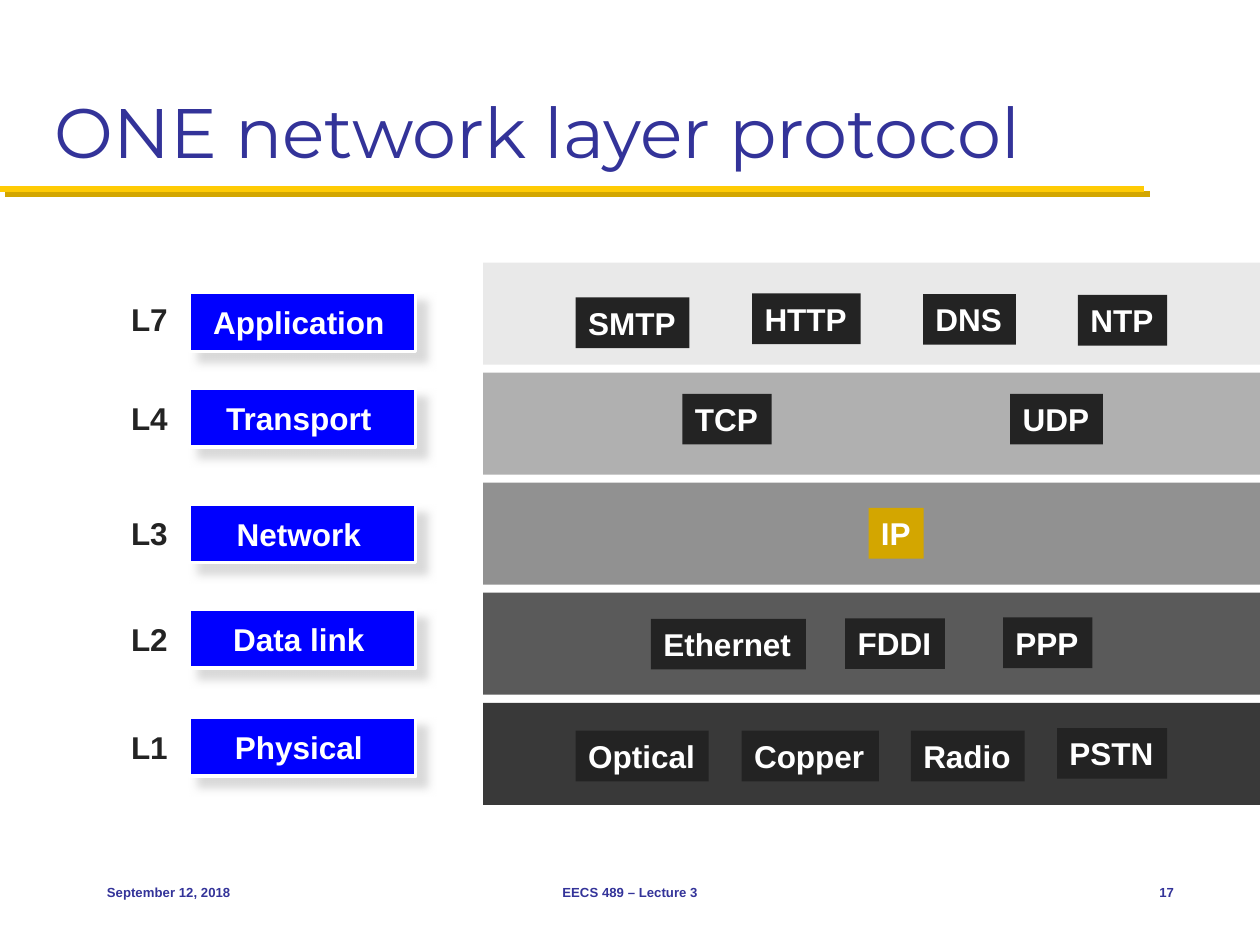
from dataclasses import dataclass

from lxml.etree import SubElement
from pptx import Presentation
from pptx.dml.color import RGBColor
from pptx.enum.shapes import MSO_CONNECTOR, MSO_SHAPE
from pptx.enum.text import MSO_ANCHOR, MSO_AUTO_SIZE, PP_ALIGN
from pptx.oxml.ns import qn
from pptx.util import Pt


@dataclass(frozen=True)
class Theme:
    heading_font: str = "Montserrat"
    body_font: str = "Arial"
    title_size: float = 40
    label_size: float = 18
    footer_size: float = 7.5
    navy: str = "333399"
    maize: str = "FFCB05"
    gold: str = "D3A600"
    blue: str = "0000FF"
    ink: str = "232323"
    white: str = "FFFFFF"
    shade: str = "CECECE"


def color(value):
    return RGBColor.from_string(value)


class SlideBuilder:
    def __init__(self, slide, theme):
        self.slide = slide
        self.theme = theme

    def cast_shadow(self, item, shade, opacity, blur, distance):
        """Give an item an outer shadow towards the lower right."""
        effects = SubElement(item._element.spPr, qn("a:effectLst"))
        shadow = SubElement(effects, qn("a:outerShdw"), blurRad=str(Pt(blur)),
                            dist=str(Pt(distance)), dir=str(45 * 60000),
                            algn="tl", rotWithShape="0")
        tint = SubElement(shadow, qn("a:srgbClr"), val=shade)
        SubElement(tint, qn("a:alpha"), val=str(opacity * 1000))

    def set_text(self, item, text, size, ink, font=None, bold=True,
                 align=PP_ALIGN.LEFT, anchor=MSO_ANCHOR.TOP, wrap=False):
        frame = item.text_frame
        frame.text = text
        frame.word_wrap = wrap
        frame.auto_size = MSO_AUTO_SIZE.NONE
        frame.vertical_anchor = anchor
        paragraph = frame.paragraphs[0]
        paragraph.alignment = align
        paragraph.font.name = font or self.theme.body_font
        paragraph.font.size = Pt(size)
        paragraph.font.bold = bold
        paragraph.font.color.rgb = color(ink)
        return frame

    def title(self, text, left, top, width, height):
        heading = self.slide.shapes.title
        heading.left, heading.top = Pt(left), Pt(top)
        heading.width, heading.height = Pt(width), Pt(height)
        self.set_text(heading, text, self.theme.title_size, self.theme.navy,
                      font=self.theme.heading_font, bold=False,
                      anchor=MSO_ANCHOR.BOTTOM, wrap=True)

    def rule(self, left, right, y):
        underline = self.slide.shapes.add_connector(
            MSO_CONNECTOR.STRAIGHT, Pt(left), Pt(y), Pt(right), Pt(y))
        underline.line.color.rgb = color(self.theme.maize)
        underline.line.width = Pt(3.5)
        self.cast_shadow(underline, self.theme.gold, 100, 0, 4.2)

    def footer(self, text, left, width, align):
        note = self.slide.shapes.add_textbox(Pt(left), Pt(492), Pt(width), Pt(36))
        self.set_text(note, text, self.theme.footer_size, self.theme.navy,
                      align=align, anchor=MSO_ANCHOR.MIDDLE, wrap=True)

    def block(self, left, top, width, height, fill):
        rect = self.slide.shapes.add_shape(
            MSO_SHAPE.RECTANGLE, Pt(left), Pt(top), Pt(width), Pt(height))
        rect.shadow.inherit = False
        rect.fill.solid()
        rect.fill.fore_color.rgb = color(fill)
        rect.line.fill.background()
        return rect

    def tag(self, text, left, top, width, fill, ink):
        label = self.block(left, top, width, 29, fill)
        self.set_text(label, text, self.theme.label_size, ink)

    def layer_box(self, text, left, top):
        box = self.block(left, top, 129.6, 33.6, self.theme.blue)
        box.line.color.rgb = color(self.theme.white)
        box.line.width = Pt(2)
        # The shadow replaces the empty effect list
        box._element.spPr.remove(box._element.spPr.find(qn("a:effectLst")))
        self.cast_shadow(box, self.theme.shade, 75, 5, 8)
        frame = self.set_text(box, text, self.theme.label_size, self.theme.white,
                              align=PP_ALIGN.CENTER, anchor=MSO_ANCHOR.MIDDLE)
        frame.margin_left = frame.margin_top = frame.margin_bottom = Pt(3)
        frame.margin_right = Pt(7)


BAND_TOP, BAND_PITCH, BAND_HEIGHT = 150, 62.9, 58.3

# Level, layer name, band fill, level top, box top, protocols (name, left, top, width)
LAYERS = [
    ("L7", "Application", "E9E9E9", 167.8, 167.2,
     [("SMTP", 329, 169.9, 65), ("HTTP", 429.8, 167.6, 62),
      ("DNS", 527.5, 168, 53), ("NTP", 616, 168.5, 51)]),
    ("L4", "Transport", "B0B0B0", 224.6, 221.8,
     [("TCP", 390, 225, 51), ("UDP", 577.3, 225, 53)]),
    ("L3", "Network", "919191", 290.2, 288,
     [("IP", 496.3, 290.2, 31.5)]),
    ("L2", "Data link", "5A5A5A", 350.6, 348,
     [("Ethernet", 372, 353.6, 88.5), ("FDDI", 483, 353.3, 57),
      ("PPP", 573.2, 352.8, 51)]),
    ("L1", "Physical", "393939", 412.6, 410,
     [("Optical", 329, 417.5, 76), ("Copper", 423.8, 417.5, 78.5),
      ("Radio", 520.5, 417.5, 65), ("PSTN", 604, 416, 63)]),
]


def main():
    deck = Presentation()
    deck.slide_width, deck.slide_height = Pt(720), Pt(540)
    theme = Theme()
    builder = SlideBuilder(deck.slides.add_slide(deck.slide_layouts[5]), theme)

    # Heading
    builder.rule(0, 654, 108)
    builder.title("ONE network layer protocol", 24, 12, 672, 90)

    # Footer
    builder.footer("September 12, 2018", 54, 150, PP_ALIGN.LEFT)
    builder.footer("EECS 489 – Lecture 3", 246, 228, PP_ALIGN.CENTER)
    builder.footer("17", 630, 48, PP_ALIGN.RIGHT)

    # Layer stack with its protocols
    for row, (level, name, shade, level_top, box_top, protocols) in enumerate(LAYERS):
        builder.block(276, BAND_TOP + row * BAND_PITCH, 444, BAND_HEIGHT, shade)
        builder.layer_box(name, 108, box_top)
        builder.tag(level, 67.8, level_top, 36, theme.white, theme.ink)
        for protocol, left, top, width in protocols:
            fill = theme.gold if protocol == "IP" else theme.ink
            builder.tag(protocol, left, top, width, fill, theme.white)

    deck.save("out.pptx")


if __name__ == "__main__":
    main()
